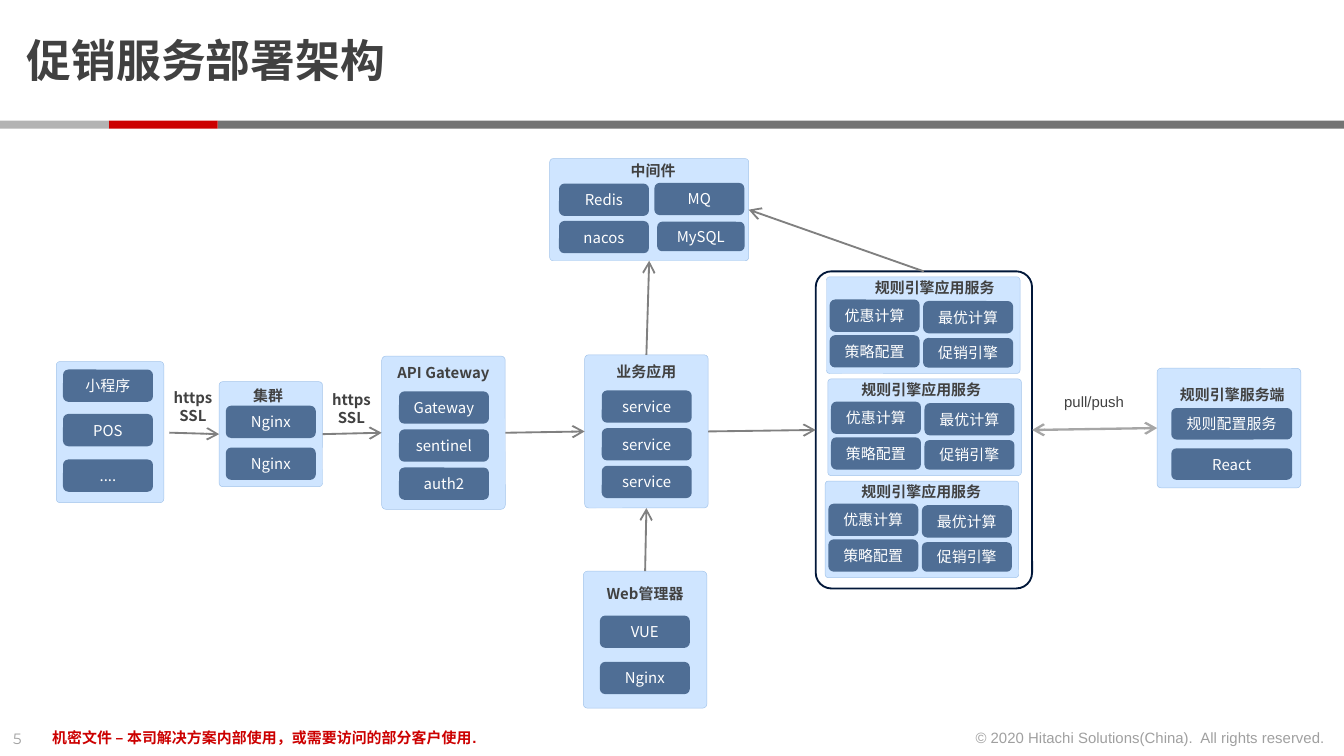
from dataclasses import dataclass
from typing import Optional

from lxml.etree import SubElement
from pptx import Presentation
from pptx.dml.color import RGBColor
from pptx.enum.shapes import MSO_CONNECTOR, MSO_SHAPE
from pptx.enum.text import MSO_ANCHOR, PP_ALIGN
from pptx.oxml.ns import qn
from pptx.util import Pt

SANS = "Noto Sans CJK SC"
DARK = "414141"
RED = "CC0000"


@dataclass(frozen=True)
class Box:
    left: float
    top: float
    width: float = 48.2
    height: float = 17.3

    def lengths(self):
        return Pt(self.left), Pt(self.top), Pt(self.width), Pt(self.height)


@dataclass(frozen=True)
class Chip:
    text: str
    box: Box


@dataclass(frozen=True)
class Panel:
    name: str
    box: Box
    chips: list[Chip]
    title: str = ""
    title_box: Optional[Box] = None


@dataclass(frozen=True)
class Link:
    source: str
    source_side: int
    target: str
    target_side: int
    color: str = "808080"
    width: float = 1
    both_ways: bool = False


def apply_color(color_format, hex_color: str, opacity: int = 100) -> None:
    color_format.rgb = RGBColor.from_string(hex_color)
    if opacity < 100:
        element = color_format._xFill.find(qn("a:srgbClr"))
        SubElement(element, qn("a:alpha"), val=str(opacity * 1000))


def write_text(shape, text: str, *, size: float = 8, font: str = SANS, color: str = DARK,
               opacity: int = 100, bold: bool = False, align=PP_ALIGN.CENTER,
               anchor=MSO_ANCHOR.TOP, insets: tuple = (7.2, 3.6), wrap: bool = True,
               line_spacing: Optional[float] = None) -> None:
    frame = shape.text_frame
    frame.word_wrap = wrap
    frame.vertical_anchor = anchor
    frame.margin_left = frame.margin_right = Pt(insets[0])
    frame.margin_top = frame.margin_bottom = Pt(insets[1])
    for index, line in enumerate(text.split("\n")):
        paragraph = frame.add_paragraph() if index else frame.paragraphs[0]
        paragraph.alignment = align
        paragraph.line_spacing = line_spacing
        run = paragraph.add_run()
        run.text = line
        run.font.size = Pt(size)
        run.font.bold = bold
        run.font.name = font
        run.font.fill.solid()
        apply_color(run.font.fill.fore_color, color, opacity)
        SubElement(run.font._element, qn("a:ea"), typeface=SANS)


def add_label(slide, text: str, box: Box, **text_format) -> None:
    write_text(slide.shapes.add_textbox(*box.lengths()), text, **text_format)


def add_block(slide, box: Box, *, preset=MSO_SHAPE.ROUNDED_RECTANGLE,
              fill: Optional[str] = None, opacity: int = 100, line: Optional[str] = None,
              line_width: float = 1, rounding: Optional[float] = None):
    shape = slide.shapes.add_shape(preset, *box.lengths())
    shape.shadow.inherit = False
    if rounding is not None:
        shape.adjustments[0] = rounding
    if fill:
        shape.fill.solid()
        apply_color(shape.fill.fore_color, fill, opacity)
    else:
        shape.fill.background()
    if line:
        shape.line.fill.solid()
        apply_color(shape.line.fill.fore_color, line)
        shape.line.width = Pt(line_width)
    else:
        shape.line.fill.background()
    return shape


def add_panel(slide, panel: Panel):
    shape = add_block(slide, panel.box, fill="B3D7FF", opacity=63, line="A3C4EA",
                      line_width=0.25, rounding=0.034)
    for chip in panel.chips:
        block = add_block(slide, chip.box, fill="4F6E95")
        write_text(block, chip.text, color="FFFFFF", anchor=MSO_ANCHOR.MIDDLE, insets=(2.9, 2.9))
    if panel.title_box:
        add_label(slide, panel.title, panel.title_box, bold=True)
    return shape


def add_arrow(slide, color: str, width: float = 1, both_ways: bool = False,
              start: tuple = (0, 0)):
    left, top = Pt(start[0]), Pt(start[1])
    connector = slide.shapes.add_connector(MSO_CONNECTOR.STRAIGHT, left, top, left, top)
    connector.line.fill.solid()
    apply_color(connector.line.fill.fore_color, color)
    connector.line.width = Pt(width)
    line = connector.line._get_or_add_ln()
    for end in ("a:headEnd", "a:tailEnd") if both_ways else ("a:tailEnd",):
        SubElement(line, qn(end), type="arrow")
    SubElement(connector._element.spPr, qn("a:effectLst"))
    return connector


def column(texts: list[str], left: float, tops: list[float], **size) -> list[Chip]:
    return [Chip(text, Box(left, top, **size)) for text, top in zip(texts, tops)]


def rule_service(index: int, left: float, title_left: float) -> Panel:
    top = 148.3 + 54.7 * index
    chips = column(["优惠计算", "策略配置"], left + 1.7, [top + 12.2, top + 31.3])
    chips += [Chip("最优计算", Box(left + 51.8, top + 13)),
              Chip("促销引擎", Box(left + 51.8, top + 32.8, height=15.8))]
    return Panel(f"rules {index}", Box(left, top, 103.7, 51.8), chips,
                 "规则引擎应用服务", Box(title_left, top - 2.6, 82.8, 16.6))


PANELS = [
    Panel("clients", Box(30.2, 193.7, 57.6, 75.6),
          column(["小程序", "POS", "...."], 33.8, [198, 221.8, 246.2])),
    Panel("cluster", Box(117.4, 204.5, 55.4, 56.2),
          column(["Nginx", "Nginx"], 121, [217.4, 239.8]), "集群", Box(118.1, 203.8, 51.1)),
    Panel("gateway", Box(204.5, 190.8, 66.2, 82.1),
          column(["Gateway", "sentinel", "auth2"], 213.8, [209.7, 230.1, 250.5]),
          "API Gateway", Box(200.9, 191.5, 73.4)),
    Panel("web", Box(312.5, 306, 66.2, 73.4),
          column(["VUE", "Nginx"], 321.4, [329.8, 354.6]), "Web管理器", Box(308.9, 309.6, 73.4)),
    Panel("middleware", Box(294.5, 85, 106.6, 54.7),
          column(["Redis", "nacos"], 299.5, [98.4, 118.4])
          + [Chip("MQ", Box(350.6, 98)), Chip("MySQL", Box(352.1, 118.8, 46.8, 15.8))],
          "中间件", Box(313.2, 82.8, 73.4)),
    rule_service(0, 442.8, 459.4),
    rule_service(1, 443.5, 452.2),
    rule_service(2, 442.1, 452.2),
    Panel("business", Box(313.2, 190.1, 66.2, 82.1),
          column(["service"] * 3, 322.4, [209.2, 229.4, 249.6]),
          "业务应用", Box(309.6, 190.8, 73.4)),
    Panel("server", Box(619.9, 197.3, 77, 64.1),
          column(["规则配置服务", "React"], 627.5, [218.6, 240.2], width=64.8, height=16.9),
          "规则引擎服务端", Box(623.5, 203, 73.4)),
]

LINKS = [
    Link("cluster", 3, "gateway", 1),
    Link("gateway", 3, "business", 1),
    Link("business", 3, "engine", 1),
    Link("business", 0, "middleware", 2),
    Link("web", 0, "business", 2),
    Link("engine", 0, "middleware", 3),
    Link("engine", 3, "server", 1, "A6A6A6", 1.25, True),
]


def main() -> None:
    presentation = Presentation()
    presentation.slide_width, presentation.slide_height = Pt(720), Pt(405)
    slide = presentation.slides.add_slide(presentation.slide_layouts[6])

    for left, width, color in ((116.6, 603.4, "737373"), (58.3, 58.3, RED), (0, 58.3, "B3B3B3")):
        add_block(slide, Box(left, 64.6, width, 4.3), preset=MSO_SHAPE.RECTANGLE, fill=color)
    add_label(slide, "促销服务部署架构", Box(7.2, 7.9, 555, 52.6), size=24, bold=True,
              align=PP_ALIGN.LEFT, anchor=MSO_ANCHOR.MIDDLE, insets=(7.2, 0), line_spacing=0.85)
    add_label(slide, "5", Box(0, 387.2, 24.5), font="Montserrat", opacity=50,
              align=PP_ALIGN.LEFT, wrap=False)
    add_label(slide, "机密文件 – 本司解决方案内部使用，或需要访问的部分客户使用.",
              Box(20.9, 386.6, 485.3), font="Arial", color=RED, bold=True, align=PP_ALIGN.LEFT)
    add_label(slide, "© 2020 Hitachi Solutions(China).\u00a0 All rights reserved.".replace("\u00a0", " "),
              Box(512.6, 386.6, 204.5), font="Arial", opacity=50, align=PP_ALIGN.RIGHT, wrap=False)

    shapes = {panel.name: add_panel(slide, panel) for panel in PANELS}
    shapes["engine"] = add_block(slide, Box(437, 145.4, 115.9, 169.9), line="011739", rounding=0.073)

    for link in LINKS:
        connector = add_arrow(slide, link.color, link.width, link.both_ways)
        connector.begin_connect(shapes[link.source], link.source_side)
        connector.end_connect(shapes[link.target], link.target_side)
    add_arrow(slide, "808080", start=(90.7, 231.8)).end_connect(shapes["cluster"], 1)

    for left, top, width in ((85, 204.5, 36.7), (167.8, 205.9, 41)):
        add_label(slide, "https\nSSL", Box(left, top, width, 26.6), bold=True)
    add_label(slide, "pull/push", Box(563, 206.6, 46.8), font="Arial", align=PP_ALIGN.LEFT, wrap=False)

    presentation.save("out.pptx")


if __name__ == "__main__":
    main()
